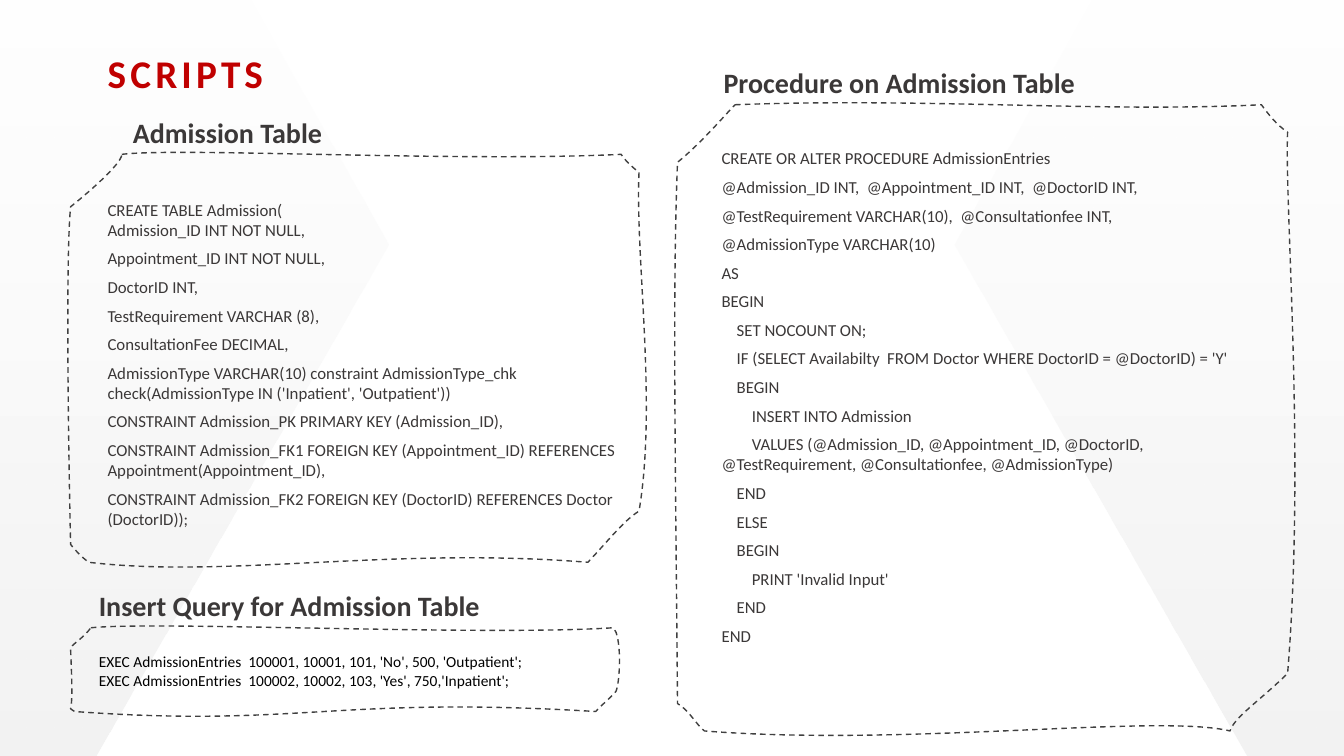
import lxml.etree
import pptx
import pptx.dml.color
import pptx.enum.dml
import pptx.enum.text
import pptx.oxml.ns
from pptx.util import Cm

COLORS = {
    "title": "C00000",
    "body": "3B3838",
    "query": "000000",
    "outline": "404040",
    "chevron_dark": "F2F2F2",
    "chevron_light": "F5F5F5",
}
SLIDE_WIDTH = 33.86
SLIDE_HEIGHT = 19.05

CHEVRON = [(1.8, 20.17), (9.8, 6.17), (6.32, 0), (0, 0),
           (0, 20.96), (1.14, 20.96), (1.91, 19.96)]

ADMISSION_OUTLINE = [
    (3.07, 3.89),
    (4.55, 3.71), (11.53, 4.09), (15.65, 3.89),
    (15.72, 4.01), (15.93, 4.22), (16.1, 4.34),
    (16, 6.48), (16.56, 10.16), (16.1, 12.88),
    (15.72, 13.11), (15.27, 13.69), (14.81, 14.17),
    (9.86, 13.77), (5.72, 14.58), (2.24, 14.17),
    (2.13, 14.1), (1.91, 13.89), (1.78, 13.72),
    (1.73, 11.61), (1.65, 6.48), (1.78, 5.21),
    (2.11, 4.95), (3.07, 4.14), (3.07, 3.89),
]
PROCEDURE_OUTLINE = [
    (18.52, 2.64),
    (23.39, 2.46), (27.79, 2.84), (31.78, 2.64),
    (31.95, 2.87), (32.16, 3.15), (32.44, 3.33),
    (32.36, 5.16), (32.89, 11.53), (32.44, 16.97),
    (31.75, 17.65), (31.09, 18.08), (30.99, 18.42),
    (29.18, 17.98), (22.86, 18.82), (17.75, 18.42),
    (17.58, 18.31), (17.35, 17.88), (17.07, 17.73),
    (17.02, 11.63), (16.94, 7.32), (17.07, 4.09),
    (17.7, 3.58), (18.36, 2.79), (18.52, 2.64),
]
QUERY_OUTLINE = [
    (2.29, 15.82),
    (3.94, 15.65), (12.22, 16.03), (15.44, 15.82),
    (15.47, 15.85), (15.49, 15.88), (15.52, 15.93),
    (15.67, 16.36), (15.6, 17.25), (15.52, 17.42),
    (15.47, 17.5), (15.11, 17.81), (15.01, 17.93),
    (8.43, 17.53), (7.54, 18.34), (1.88, 17.93),
    (1.85, 17.93), (1.8, 17.86), (1.78, 17.86),
    (1.85, 17.58), (1.78, 16.54), (1.78, 16.33),
    (1.88, 16.18), (2.08, 16.1), (2.29, 15.82),
]

ADMISSION_CODE = [
    "CREATE TABLE Admission(\nAdmission_ID INT NOT NULL,",
    "Appointment_ID INT NOT NULL,",
    "DoctorID INT,",
    "TestRequirement VARCHAR (8),",
    "ConsultationFee DECIMAL,",
    "AdmissionType VARCHAR(10) constraint AdmissionType_chk check(AdmissionType IN ('Inpatient', 'Outpatient'))",
    "CONSTRAINT Admission_PK PRIMARY KEY (Admission_ID),",
    "CONSTRAINT Admission_FK1 FOREIGN KEY (Appointment_ID) REFERENCES Appointment(Appointment_ID),",
    "CONSTRAINT Admission_FK2 FOREIGN KEY (DoctorID) REFERENCES Doctor (DoctorID));",
]
PROCEDURE_CODE = [
    "CREATE OR ALTER PROCEDURE AdmissionEntries",
    "@Admission_ID INT,  @Appointment_ID INT,  @DoctorID INT,",
    "@TestRequirement VARCHAR(10),  @Consultationfee INT,",
    "@AdmissionType VARCHAR(10)",
    "AS",
    "BEGIN",
    "    SET NOCOUNT ON;",
    "    IF (SELECT Availabilty  FROM Doctor WHERE DoctorID = @DoctorID) = 'Y'",
    "    BEGIN",
    "        INSERT INTO Admission",
    "        VALUES (@Admission_ID, @Appointment_ID, @DoctorID, @TestRequirement, @Consultationfee, @AdmissionType)",
    "    END",
    "    ELSE",
    "    BEGIN",
    "        PRINT 'Invalid Input'",
    "    END",
    "END",
]
QUERY_CODE = [
    "EXEC AdmissionEntries  100001, 10001, 101, 'No', 500, 'Outpatient';",
    "EXEC AdmissionEntries  100002, 10002, 103, 'Yes', 750,'Inpatient';",
]


def rgb(color):
    return pptx.dml.color.RGBColor.from_string(COLORS[color])


def write_text(frame, lines, size=12, color="body", bold=False, after=0, tracking=0):
    frame.word_wrap = True
    frame.auto_size = pptx.enum.text.MSO_AUTO_SIZE.SHAPE_TO_FIT_TEXT
    frame.vertical_anchor = pptx.enum.text.MSO_ANCHOR.TOP
    for index, line in enumerate(lines):
        paragraph = frame.add_paragraph() if index else frame.paragraphs[0]
        paragraph.text = line
        paragraph.alignment = pptx.enum.text.PP_ALIGN.LEFT
        paragraph.space_after = pptx.util.Pt(after)
        for run in paragraph.runs:
            run.font.name = "Calibri"
            run.font.size = pptx.util.Pt(size)
            run.font.bold = bold
            run.font.color.rgb = rgb(color)
            if tracking:
                run.font._element.set("spc", str(tracking * 100))


class ScriptSlide:
    def __init__(self, presentation):
        self.slide = presentation.slides.add_slide(presentation.slide_layouts[5])
        self.shapes = self.slide.shapes

    def polygon(self, points):
        start, *rest = [(Cm(x), Cm(y)) for x, y in points]
        builder = self.shapes.build_freeform(*start)
        builder.add_line_segments(rest)
        outline = builder.convert_to_shape()
        outline.shadow.inherit = False
        return outline

    def chevron(self, points):
        chevron = self.polygon(points)
        chevron.line.fill.background()
        chevron.fill.gradient()
        chevron.fill.gradient_angle = 90
        dark, light = chevron.fill.gradient_stops
        dark.position, light.position = 0, 1
        dark.color.rgb = rgb("chevron_dark")
        light.color.rgb = rgb("chevron_light")
        light_color = chevron._element.xpath(".//a:gs[last()]/a:srgbClr")[0]
        alpha = lxml.etree.SubElement(light_color, pptx.oxml.ns.qn("a:alpha"))
        alpha.set("val", "4000")

    def dashed_frame(self, points):
        frame = self.polygon(points[::3])
        frame.fill.background()
        frame.line.color.rgb = rgb("outline")
        frame.line.width = pptx.util.Pt(1)
        frame.line.dash_style = pptx.enum.dml.MSO_LINE.DASH
        for index, segment in enumerate(frame._element.xpath(".//a:lnTo")):
            segment.tag = pptx.oxml.ns.qn("a:cubicBezTo")
            for place, (x, y) in enumerate(points[index * 3 + 1:index * 3 + 3]):
                control = lxml.etree.Element(pptx.oxml.ns.qn("a:pt"))
                control.set("x", str(Cm(x) - frame.left))
                control.set("y", str(Cm(y) - frame.top))
                segment.insert(place, control)

    def title(self, text, left, top, width, height, **style):
        title = self.shapes.title
        title.left, title.top = Cm(left), Cm(top)
        title.width, title.height = Cm(width), Cm(height)
        write_text(title.text_frame, [text], **style)
        self.shapes._spTree.append(title._element)

    def text(self, lines, left, top, width, height, **style):
        box = self.shapes.add_textbox(Cm(left), Cm(top), Cm(width), Cm(height))
        write_text(box.text_frame, lines, **style)

    def heading(self, text, left, top, width):
        self.text([text], left, top, width, 1.12, size=20, bold=True)


def main():
    presentation = pptx.Presentation()
    presentation.slide_width = Cm(SLIDE_WIDTH)
    presentation.slide_height = Cm(SLIDE_HEIGHT)
    scripts = ScriptSlide(presentation)

    scripts.chevron([(SLIDE_WIDTH - x, y) for x, y in CHEVRON])
    scripts.chevron(CHEVRON)
    scripts.title("SCRIPTS", 2.46, 1.12, 7.44, 1.45,
                  size=28, color="title", bold=True, tracking=3)

    scripts.heading("Admission Table", 3.1, 2.79, 6.2)
    scripts.dashed_frame(ADMISSION_OUTLINE)
    scripts.text(ADMISSION_CODE, 2.46, 4.9, 13.64, 8.64, after=6)

    scripts.heading("Procedure on Admission Table", 17.98, 1.52, 10.87)
    scripts.dashed_frame(PROCEDURE_OUTLINE)
    scripts.text(PROCEDURE_CODE, 17.93, 3.61, 14.33, 13.94, after=6)

    scripts.heading("Insert Query for Admission Table", 2.24, 14.71, 11.73)
    scripts.dashed_frame(QUERY_OUTLINE)
    scripts.text(QUERY_CODE, 2.24, 16.31, 12.75, 1.19, size=11, color="query")

    presentation.save("out.pptx")


if __name__ == "__main__":
    main()
